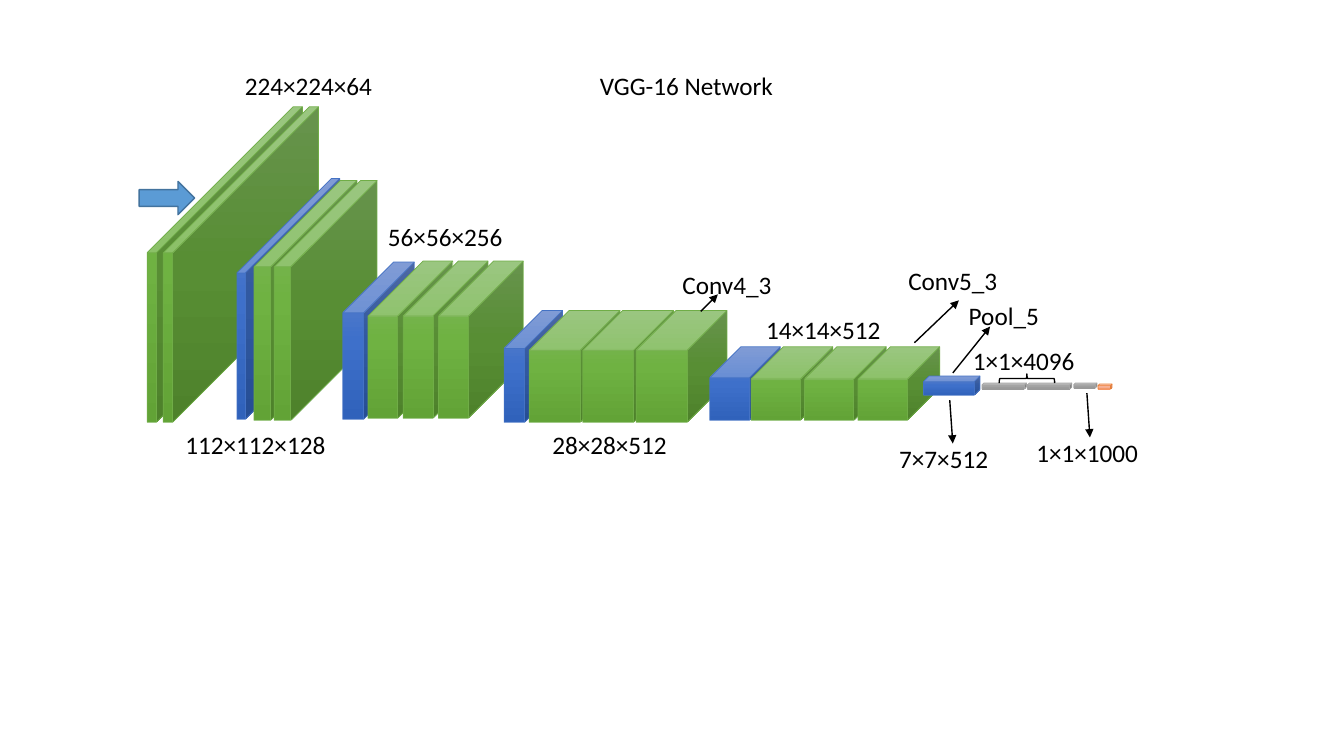
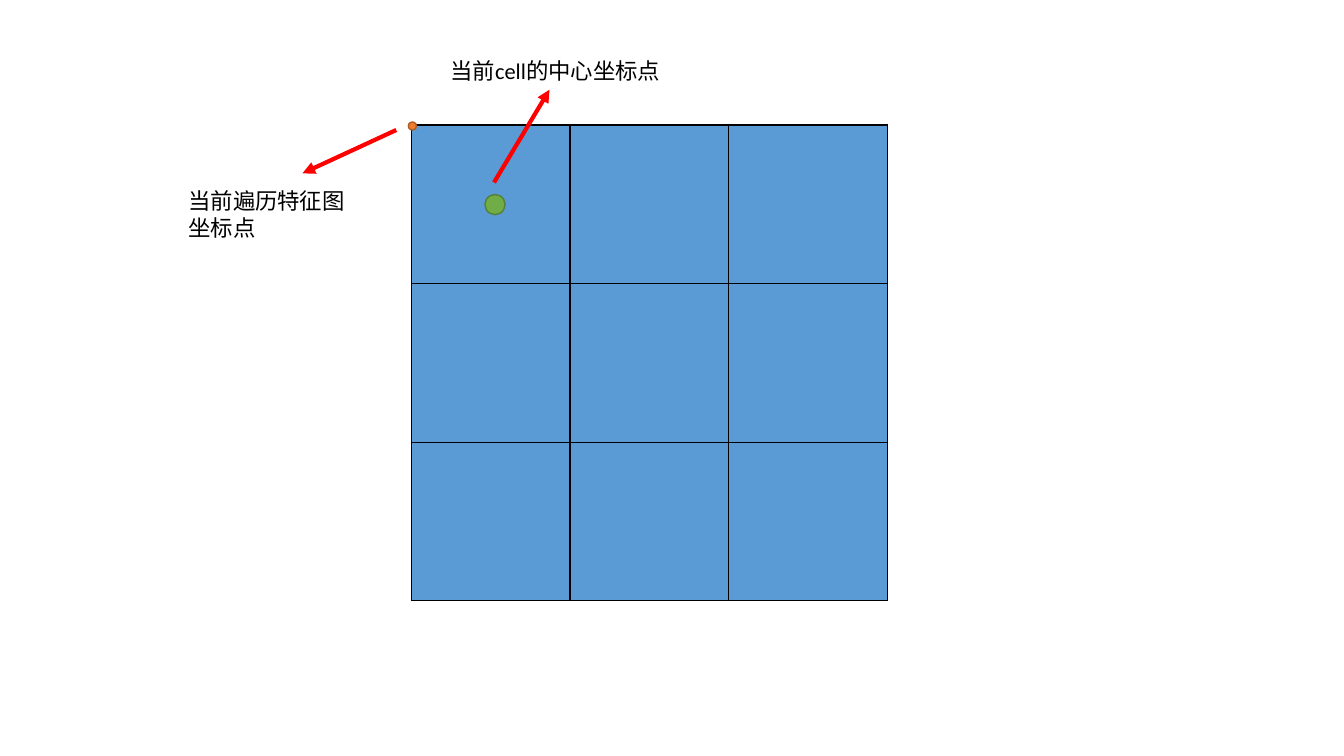
"""Build two slides: a convolutional network diagram and a feature map grid."""
import copy
import lxml.etree
import pptx
import pptx.dml.color
import pptx.enum.shapes
import pptx.enum.text
import pptx.oxml.ns
import pptx.util

Inches = pptx.util.Inches
Pt = pptx.util.Pt
RGB = pptx.dml.color.RGBColor
Kind = pptx.enum.shapes.MSO_SHAPE
qn = pptx.oxml.ns.qn

FONT = "Calibri"
BLACK = RGB(0x00, 0x00, 0x00)
RED = RGB(0xFF, 0x00, 0x00)
SKY = RGB(0x5B, 0x9B, 0xD5)
NAVY = RGB(0x43, 0x73, 0x9E)
LEAF = RGB(0x70, 0xAD, 0x47)
MOSS = RGB(0x53, 0x80, 0x35)
CORAL = RGB(0xED, 0x7D, 0x31)
RUST = RGB(0xAF, 0x5C, 0x24)
ROYAL = RGB(0x44, 0x72, 0xC4)
ASH = RGB(0xA5, 0xA5, 0xA5)
GREEN = (LEAF, RGB(0x81, 0xB8, 0x61), RGB(0x6F, 0xB2, 0x42), RGB(0x62, 0xA3, 0x36))
BLUE = (ROYAL, RGB(0x61, 0x83, 0xCB), RGB(0x3E, 0x70, 0xCA), RGB(0x30, 0x62, 0xBB))
GREY = (ASH, RGB(0xAF, 0xAF, 0xAF), ASH, RGB(0x93, 0x93, 0x93))
PEACH = (CORAL, RGB(0xF7, 0xBD, 0xA5), RGB(0xF5, 0xB1, 0x96), RGB(0xF8, 0xA5, 0x82))


def write(box, text, size):
    """Set the text of a box in the shared label style."""
    frame = box.text_frame
    frame.word_wrap = True
    frame.auto_size = pptx.enum.text.MSO_AUTO_SIZE.SHAPE_TO_FIT_TEXT
    frame.vertical_anchor = pptx.enum.text.MSO_ANCHOR.TOP
    line = frame.paragraphs[0]
    line.alignment = pptx.enum.text.PP_ALIGN.LEFT
    run = line.add_run()
    run.text = text
    run.font.name = FONT
    run.font.size = Pt(size)
    run.font.color.rgb = BLACK


deck = pptx.Presentation()
deck.slide_width = Inches(13.33)
deck.slide_height = Inches(7.5)
net = deck.slides.add_slide(deck.slide_layouts[5])
grid = deck.slides.add_slide(deck.slide_layouts[6])

title = net.shapes.title
title.left, title.top = Inches(5.85), Inches(0.65)
title.width, title.height = Inches(2.02), Inches(0.4)
write(title, "VGG-16 Network", 18)

layers = [
    (1.46, 1.06, 1.54, 3.13, 0.94, 2, 0.16, GREEN),
    (2.35, 1.77, 1.02, 2.39, 0.92, 1, 0, BLUE),
    (2.52, 1.79, 1.02, 2.38, 0.84, 2, 0.2, GREEN),
    (3.4, 2.6, 0.71, 1.56, 0.71, 1, 0, BLUE),
    (3.65, 2.59, 0.84, 1.56, 0.65, 3, 0.35, GREEN),
    (5, 3.08, 0.58, 1.11, 0.65, 1, 0, BLUE),
    (5.25, 3.08, 0.9, 1.11, 0.44, 3, 0.53, GREEN),
    (7.04, 3.44, 0.7, 0.73, 0.44, 1, 0, BLUE),
    (7.45, 3.44, 0.81, 0.73, 0.44, 3, 0.53, GREEN),
    (9.16, 3.73, 0.56, 0.19, 0.3, 1, 0, BLUE),
    (9.74, 3.8, 0.44, 0.06, 0.32, 2, 0.45, GREY),
    (10.65, 3.8, 0.23, 0.05, 0.32, 1, 0, GREY),
    (10.89, 3.81, 0.14, 0.05, 0.32, 1, 0, PEACH),
]
for left, top, wide, high, depth, count, step, (edge, *ramp) in layers:
    for i in range(count):
        cube = net.shapes.add_shape(Kind.CUBE, Inches(left + i * step), Inches(top),
                                    Inches(wide), Inches(high))
        cube.shadow.inherit = False
        cube.adjustments[0] = depth
        cube.line.color.rgb = edge
        cube.line.width = Pt(0.5)
        cube.fill.gradient()
        cube.fill.gradient_angle = 270
        stops = cube._element.spPr.find(".//" + qn("a:gsLst"))
        stops.append(copy.deepcopy(stops[0]))
        for j, stop in enumerate(cube.fill.gradient_stops):
            stop.position = j / 2
            stop.color.rgb = ramp[j]

side = Inches(4.72)
table = grid.shapes.add_table(3, 3, Inches(4.08), Inches(1.24), side, side).table
table.first_row = False
table.horz_banding = False
for row in table.rows:
    row.height = side // 3
for cell in table.iter_cells():
    cell.fill.solid()
    cell.fill.fore_color.rgb = SKY
    props = cell._tc.get_or_add_tcPr()
    for i, name in enumerate(("a:lnL", "a:lnR", "a:lnT", "a:lnB")):
        rule = lxml.etree.Element(qn(name), w=str(Pt(1)))
        paint = lxml.etree.SubElement(rule, qn("a:solidFill"))
        lxml.etree.SubElement(paint, qn("a:srgbClr"), val=str(BLACK))
        props.insert(i, rule)

marks = [
    (net, Kind.RIGHT_ARROW, 1.38, 1.8, 0.55, 0.33, SKY, NAVY),
    (grid, Kind.OVAL, 4.81, 1.93, 0.2, 0.2, LEAF, MOSS),
    (grid, Kind.OVAL, 4.05, 1.21, 0.08, 0.08, CORAL, RUST),
]
for page, kind, left, top, wide, high, color, edge in marks:
    mark = page.shapes.add_shape(kind, Inches(left), Inches(top), Inches(wide), Inches(high))
    mark.shadow.inherit = False
    mark.fill.solid()
    mark.fill.fore_color.rgb = color
    mark.line.color.rgb = edge
    mark.line.width = Pt(1)

brace = net.shapes.add_shape(Kind.LEFT_BRACE, Inches(10.14), Inches(3.48),
                             Inches(0.09), Inches(0.55))
brace.rotation = 90
brace.shadow.inherit = False
brace.fill.background()
brace.line.color.rgb = BLACK
brace.line.width = Pt(1)

arrows = [
    (net, 9.42, 3.97, 9.45, 4.4, BLACK, 1),
    (net, 10.78, 3.9, 10.81, 4.34, BLACK, 1),
    (net, 6.95, 3.09, 7.12, 2.92, BLACK, 1),
    (net, 9.07, 3.4, 9.51, 2.98, BLACK, 1),
    (net, 9.45, 3.7, 9.82, 3.24, BLACK, 1),
    (grid, 3.93, 1.29, 3, 1.72, RED, 3),
    (grid, 4.9, 1.81, 5.45, 0.89, RED, 3),
]
for page, x, y, end, low, color, width in arrows:
    arrow = page.shapes.add_connector(pptx.enum.shapes.MSO_CONNECTOR.STRAIGHT,
                                      Inches(x), Inches(y), Inches(end), Inches(low))
    arrow.line.color.rgb = color
    arrow.line.width = Pt(width)
    props = arrow._element.spPr
    lxml.etree.SubElement(props.find(qn("a:ln")), qn("a:tailEnd"), type="triangle")
    lxml.etree.SubElement(props, qn("a:effectLst"))

labels = [
    (net, 2.33, 0.65, 1.66, 0.4, "224×224×64", 18),
    (net, 1.74, 4.21, 1.72, 0.4, "112×112×128", 18),
    (net, 3.75, 2.15, 1.66, 0.4, "56×56×256", 18),
    (net, 5.38, 4.21, 1.66, 0.4, "28×28×512", 18),
    (net, 7.5, 3.07, 1.66, 0.4, "14×14×512", 18),
    (net, 8.82, 4.35, 1.23, 0.4, "7×7×512", 18),
    (net, 9.55, 3.38, 1.34, 0.4, "1×1×4096", 18),
    (net, 10.18, 4.29, 1.34, 0.4, "1×1×1000", 18),
    (net, 6.67, 2.62, 1.21, 0.4, "Conv4_3", 18),
    (net, 8.91, 2.58, 1.21, 0.4, "Conv5_3", 18),
    (net, 9.51, 2.93, 0.96, 0.4, "Pool_5", 18),
    (grid, 1.77, 1.81, 1.95, 0.64, "当前遍历特征图坐标点", 16),
    (grid, 4.37, 0.52, 2.47, 0.37, "当前cell的中心坐标点", 16),
]
for page, left, top, wide, high, text, size in labels:
    box = page.shapes.add_textbox(Inches(left), Inches(top), Inches(wide), Inches(high))
    write(box, text, size)

deck.save("out.pptx")
